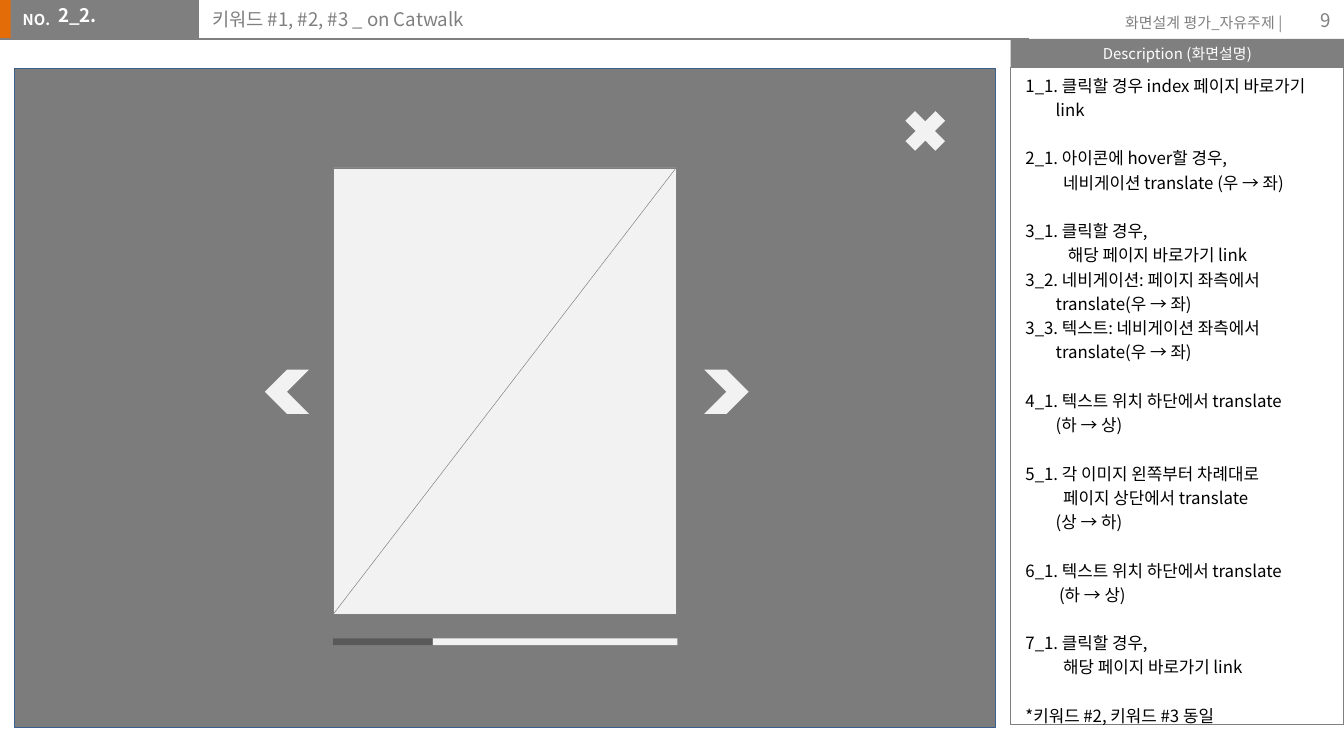
from dataclasses import dataclass
from typing import NamedTuple, Optional

from lxml.etree import SubElement
from pptx import Presentation
from pptx.dml.color import RGBColor
from pptx.enum.shapes import MSO_CONNECTOR, MSO_SHAPE
from pptx.enum.text import MSO_ANCHOR, MSO_AUTO_SIZE, PP_ALIGN
from pptx.oxml.ns import qn
from pptx.util import Inches, Pt

FONT = "Noto Sans CJK KR"
UNIT = Inches(0.1)
COLUMNS, ROWS = 100, 56.25

WHITE = RGBColor(0xFF, 0xFF, 0xFF)
BLACK = RGBColor(0, 0, 0)
ORANGE = RGBColor(0xE3, 0x6C, 0x09)
GRAY = RGBColor(0x7F, 0x7F, 0x7F)
HAIRLINE = RGBColor(0x80, 0x80, 0x80)
CANVAS = RGBColor(0x26, 0x26, 0x26)
CANVAS_EDGE = RGBColor(0x3A, 0x5F, 0x8C)
LIGHT = RGBColor(0xF2, 0xF2, 0xF2)
DARK = RGBColor(0x59, 0x59, 0x59)


class Box(NamedTuple):
    left: float
    top: float
    width: float
    height: float


class Insets(NamedTuple):
    left: float = 1
    top: float = 0.5
    right: float = 1
    bottom: float = 0.5


@dataclass(frozen=True)
class Figure:
    box: Box
    fill: Optional[RGBColor] = None
    line: Optional[RGBColor] = None
    weight: float = 0.75
    preset: MSO_SHAPE = MSO_SHAPE.RECTANGLE
    alpha: Optional[int] = None
    rotation: float = 0


@dataclass(frozen=True)
class Label:
    text: str
    size: float = 8
    color: RGBColor = GRAY
    bold: bool = False
    align: PP_ALIGN = PP_ALIGN.LEFT
    anchor: MSO_ANCHOR = MSO_ANCHOR.TOP
    insets: Insets = Insets()
    spacing: float = 1.0


class Line(NamedTuple):
    text: str
    indent: float = 0


PICTURE = Box(24.8, 12.5, 25.5, 33.2)
PROGRESS = Box(PICTURE.left, 47.5, 25.6, 0.5)
DONE = 7.4
ARROW = 3.3
ARROW_TOP = 27.5
DESCRIPTION = Box(75.2, 2.9, 24.8, 2.1)
GROUP_GAP = 13

TEMPLATE = [
    Figure(Box(-0.1, 0, 1.2, 2.9), ORANGE),
    Figure(Box(0.8, 0, 14, 2.9), GRAY),
    Figure(Box(DESCRIPTION.left, 5, DESCRIPTION.width, 48.9), line=GRAY),
]
CONTROLS = [
    Figure(Box(66.7, 7.6, 4.3, 4.3), LIGHT, preset=MSO_SHAPE.MATH_MULTIPLY),
    Figure(Box(52.4, ARROW_TOP, ARROW, ARROW), LIGHT, preset=MSO_SHAPE.CHEVRON),
    Figure(Box(19.7, ARROW_TOP, ARROW, ARROW), LIGHT, preset=MSO_SHAPE.CHEVRON, rotation=180),
    Figure(PROGRESS._replace(width=DONE), DARK),
    Figure(PROGRESS._replace(left=PROGRESS.left + DONE, width=PROGRESS.width - DONE), LIGHT),
]
LABELS = [
    (Box(0.7, 0.3, 4.1, 2.4), Label("NO.", color=WHITE, bold=True)),
    (Box(80, 0.5, 16.4, 2.4), Label("화면설계 평가_자유주제 |", align=PP_ALIGN.RIGHT)),
    (Box(94, 0, 6, 3), Label("9", 10, align=PP_ALIGN.RIGHT, anchor=MSO_ANCHOR.MIDDLE)),
]
NOTES = [
    [Line("1_1. 클릭할 경우 index 페이지 바로가기"), Line("link", 2.25)],
    [Line("2_1. 아이콘에 hover할 경우,"), Line("네비게이션 translate (우 → 좌)", 2.8)],
    [
        Line("3_1. 클릭할 경우,"),
        Line("해당 페이지 바로가기 link", 3.15),
        Line("3_2. 네비게이션: 페이지 좌측에서"),
        Line("translate(우 → 좌)", 2.25),
        Line("3_3. 텍스트: 네비게이션 좌측에서"),
        Line("translate(우 → 좌)", 2.25),
    ],
    [Line("4_1. 텍스트 위치 하단에서 translate"), Line("(하 → 상)", 2.25)],
    [
        Line("5_1. 각 이미지 왼쪽부터 차례대로"),
        Line("페이지 상단에서 translate", 2.8),
        Line("(상 → 하)", 2.25),
    ],
    [Line("6_1. 텍스트 위치 하단에서 translate"), Line("(하 → 상)", 2.5)],
    [Line("7_1. 클릭할 경우,"), Line("해당 페이지 바로가기 link", 2.8)],
    [Line("*키워드 #2, 키워드 #3 동일")],
]


def grid(values) -> list[int]:
    return [round(value * UNIT) for value in values]


def draw_figure(shapes, figure: Figure):
    shape = shapes.add_shape(figure.preset, *grid(figure.box))
    shape.shadow.inherit = False
    shape.rotation = figure.rotation
    if figure.fill is None:
        shape.fill.background()
    else:
        shape.fill.solid()
        shape.fill.fore_color.rgb = figure.fill
    if figure.alpha is not None:
        color = shape._element.spPr.find(qn("a:solidFill"))[0]
        SubElement(color, qn("a:alpha")).set("val", str(figure.alpha * 1000))
    if figure.line is None:
        shape.line.fill.background()
    else:
        shape.line.color.rgb = figure.line
        shape.line.width = Pt(figure.weight)
    return shape


def draw_line(shapes, start: tuple, end: tuple, color: RGBColor, weight: float) -> None:
    connector = shapes.add_connector(MSO_CONNECTOR.STRAIGHT, *grid(start + end))
    connector.line.color.rgb = color
    connector.line.width = Pt(weight)
    SubElement(connector._element.spPr, qn("a:effectLst"))


def prepare_frame(shape, insets: Insets, anchor: MSO_ANCHOR):
    frame = shape.text_frame
    frame.word_wrap = True
    frame.auto_size = MSO_AUTO_SIZE.NONE
    frame.vertical_anchor = anchor
    frame.margin_left, frame.margin_top, frame.margin_right, frame.margin_bottom = grid(insets)
    return frame


def write_paragraph(paragraph, label: Label, indent: float = 0, before: float = 0) -> None:
    properties = paragraph._p.get_or_add_pPr()
    properties.set("marL", str(round(indent * UNIT)))
    properties.set("indent", "0")
    SubElement(properties, qn("a:buNone"))
    paragraph.alignment = label.align
    paragraph.line_spacing = label.spacing
    paragraph.space_before = Pt(before)
    run = paragraph.add_run()
    run.text = label.text
    run.font.size = Pt(label.size)
    run.font.bold = label.bold
    run.font.color.rgb = label.color
    run.font.name = FONT
    SubElement(run._r.get_or_add_rPr(), qn("a:ea")).set("typeface", FONT)


def write_label(shape, label: Label) -> None:
    frame = prepare_frame(shape, label.insets, label.anchor)
    write_paragraph(frame.paragraphs[0], label)


def place(slide, placeholder, box: Box) -> None:
    placeholder.left, placeholder.top, placeholder.width, placeholder.height = grid(box)
    slide.shapes._spTree.append(placeholder._element)


def write_notes(shape) -> None:
    frame = prepare_frame(shape, Insets(), MSO_ANCHOR.TOP)
    paragraph = frame.paragraphs[0]
    for group_index, group in enumerate(NOTES):
        for line_index, line in enumerate(group):
            if group_index or line_index:
                paragraph = frame.add_paragraph()
            before = GROUP_GAP if group_index and not line_index else 0
            write_paragraph(paragraph, Label(line.text, 9, BLACK, spacing=1.2), line.indent, before)


def main() -> None:
    """Build the wireframe slide with its description panel."""
    presentation = Presentation()
    presentation.slide_width, presentation.slide_height = grid((COLUMNS, ROWS))
    slide = presentation.slides.add_slide(presentation.slide_layouts[3])
    title, number, notes = slide.placeholders
    shapes = slide.shapes

    for figure in TEMPLATE:
        draw_figure(shapes, figure)
    draw_line(shapes, (0, 2.9), (76.6, 2.9), GRAY, 0.75)
    heading = draw_figure(shapes, Figure(DESCRIPTION, GRAY))
    write_label(heading, Label("Description (화면설명)", color=WHITE, align=PP_ALIGN.CENTER,
                               anchor=MSO_ANCHOR.MIDDLE, insets=Insets(0.9, 0.4, 0.9, 0.4)))

    draw_figure(shapes, Figure(Box(1.05, 5.1, 73, 49), CANVAS, CANVAS_EDGE, 0.25, alpha=60))
    picture = shapes.add_group_shape().shapes
    draw_figure(picture, Figure(PICTURE, LIGHT, HAIRLINE, 0.25))
    right, bottom = PICTURE.left + PICTURE.width, PICTURE.top + PICTURE.height
    draw_line(picture, (right, PICTURE.top), (PICTURE.left, bottom), HAIRLINE, 0.25)

    for box, label in LABELS:
        write_label(shapes.add_textbox(*grid(box)), label)
    place(slide, number, Box(0.9, -0.6, 11, 3.1))
    write_label(number, Label("2_2.", 10, WHITE, True, insets=Insets(3.45, 0.9, 1, 0)))
    place(slide, notes, Box(75.3, 4.8, 24.7, 49.2))
    write_notes(notes)
    place(slide, title, Box(14.8, -0.3, 61.4, 3.2))
    write_label(title, Label("키워드 #1, #2, #3 _ on Catwalk", 10, insets=Insets(1, 0.9, 1, 0)))

    for figure in CONTROLS:
        draw_figure(shapes, figure)
    presentation.save("out.pptx")


if __name__ == "__main__":
    main()
